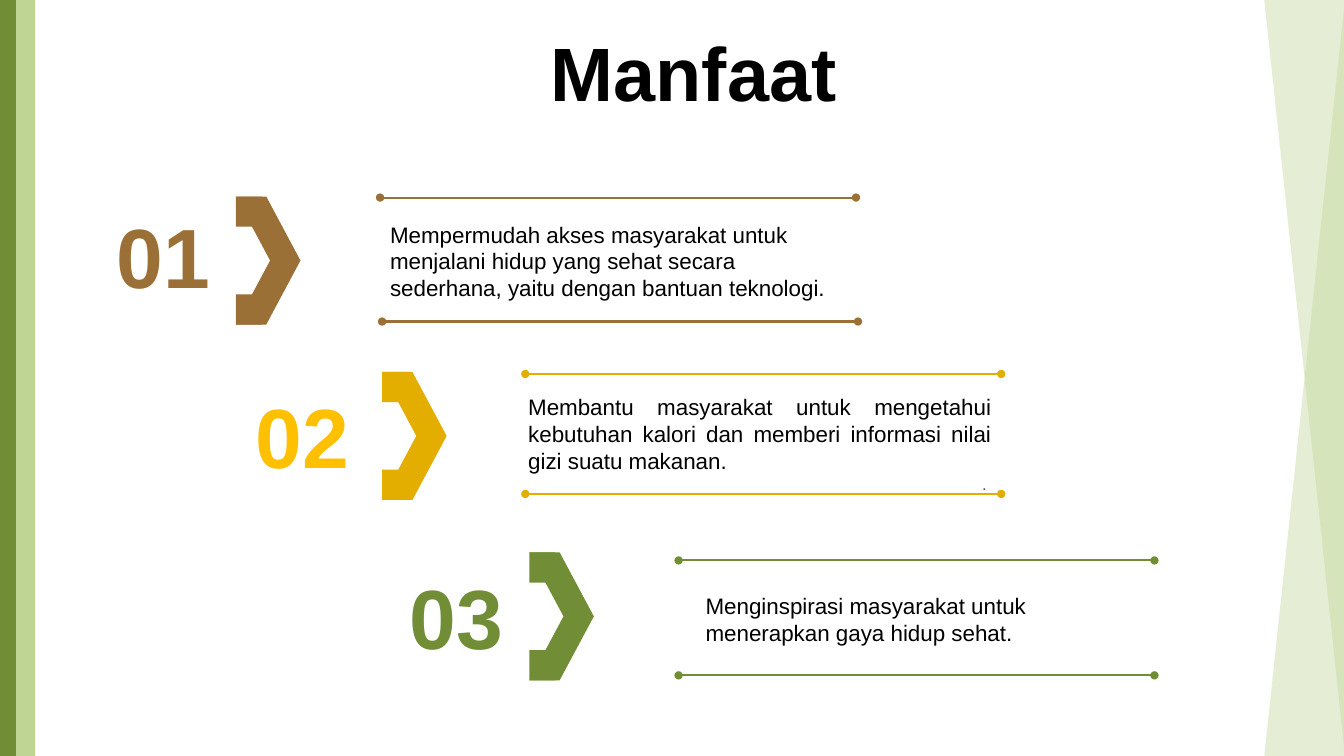
from pptx import Presentation
from pptx.dml.color import RGBColor
from pptx.enum.shapes import MSO_CONNECTOR, MSO_SHAPE
from pptx.enum.text import MSO_ANCHOR, PP_ALIGN
from pptx.oxml.ns import qn
from pptx.util import Inches, Pt
from lxml.etree import SubElement

HUES = {"brown": "9A7037", "gold": "E3AE00", "amber": "FFC000",
        "green": "718E37", "pale": "BFD594", "black": "000000", "gray": "595959"}
TITLE = ("Manfaat", 54, "black", True, PP_ALIGN.CENTER)
ITEMS = [
    {"num": "01", "hue": "brown", "ink": "brown", "arrow": (2.34, 1.95),
     "label": (1.05, 1.98), "box": (3.77, 2.14, 4.72, 0.91),
     "rules": [(3.77, 1.96), (3.79, 3.19)], "width": 1.5,
     "text": [("Mempermudah akses masyarakat untuk menjalani hidup yang sehat secara "
               "sederhana, yaitu dengan bantuan teknologi.", 16, "black", False, PP_ALIGN.LEFT)]},
    {"num": "02", "hue": "gold", "ink": "amber", "arrow": (3.79, 3.69),
     "label": (2.43, 3.77), "box": (5.14, 3.85, 4.79, 1.11),
     "rules": [(5.21, 3.71), (5.21, 4.9)], "width": 1,
     "text": [("Membantu masyarakat untuk mengetahui kebutuhan kalori dan memberi "
               "informasi nilai gizi suatu makanan.", 16, "black", False, PP_ALIGN.JUSTIFY),
              (". ", 12, "gray", False, PP_ALIGN.RIGHT)]},
    {"num": "03", "hue": "green", "ink": "green", "arrow": (5.25, 5.48),
     "label": (3.96, 5.56), "box": (6.9, 5.83, 4.56, 0.64),
     "rules": [(6.73, 5.56), (6.73, 6.7)], "width": 1.5,
     "text": [("Menginspirasi masyarakat untuk menerapkan gaya hidup sehat.",
               16, "black", False, PP_ALIGN.LEFT)]},
]
RULE = 4.72
TALL, TAB = 1.27, 0.3


def color(hue):
    return RGBColor.from_string(HUES[hue])


def style(obj, vals):
    for key, val in vals.items():
        setattr(obj, key, val)


def shape(slide, kind, box, hue):
    form = slide.shapes.add_shape(kind, *map(Inches, box))
    form.shadow.inherit = False
    form.fill.solid()
    form.fill.fore_color.rgb = color(hue)
    form.line.fill.background()
    return form


def corner(slide, flips):
    form = shape(slide, MSO_SHAPE.RIGHT_TRIANGLE, (12.54, 0, 0.8, 7.5), "pale")
    for flip in flips:
        form._element.spPr.xfrm.set(flip, "1")
    tint = form._element.spPr.find(qn("a:solidFill"))[0]
    SubElement(tint, qn("a:alpha")).set("val", "40000")


def write(slide, box, paras, anchor=MSO_ANCHOR.TOP):
    frame = slide.shapes.add_textbox(*map(Inches, box)).text_frame
    style(frame, {"word_wrap": True, "vertical_anchor": anchor})
    for i, (text, size, hue, bold, align) in enumerate(paras):
        para = frame.add_paragraph() if i else frame.paragraphs[0]
        para.alignment = align
        run = para.add_run()
        run.text = text
        style(run.font, {"name": "Arial", "size": Pt(size), "bold": bold})
        run.font.color.rgb = color(hue)
    return frame


def rule(slide, left, top, hue, width):
    line = slide.shapes.add_connector(
        MSO_CONNECTOR.STRAIGHT, *map(Inches, (left, top, left + RULE, top)))
    line.line.color.rgb = color(hue)
    line.line.width = Pt(width)
    props = line._element.spPr
    for end in ("a:headEnd", "a:tailEnd"):
        SubElement(props.find(qn("a:ln")), qn(end)).set("type", "oval")
    SubElement(props, qn("a:effectLst"))


def arrow(slide, left, top, hue):
    form = shape(slide, MSO_SHAPE.CHEVRON, (left, top, 0.64, TALL), hue)
    form.adjustments[0] = 0.53
    for y in (top, top + TALL - TAB):
        shape(slide, MSO_SHAPE.RECTANGLE, (left, y, 0.26, TAB), hue)


def main():
    deck = Presentation()
    style(deck, {"slide_width": Inches(13.33), "slide_height": Inches(7.5)})
    slide = deck.slides.add_slide(deck.slide_layouts[6])
    corner(slide, ("flipH", "flipV"))
    for left, hue in ((0, "green"), (0.16, "pale")):
        shape(slide, MSO_SHAPE.RECTANGLE, (left, 0, 0.19, 7.5), hue)
    corner(slide, ("flipH",))
    head = write(slide, (0.75, 0.37, 12.26, 0.79), [TITLE], MSO_ANCHOR.MIDDLE)
    style(head.paragraphs[0], {"line_spacing": 0.9, "space_before": Pt(10)})
    for item in ITEMS:
        arrow(slide, *item["arrow"], item["hue"])
        write(slide, (*item["label"], 1.14, 1.11),
              [(item["num"], 60, item["ink"], True, PP_ALIGN.CENTER)])
        write(slide, item["box"], item["text"])
        for left, top in item["rules"]:
            rule(slide, left, top, item["hue"], item["width"])
    deck.save("out.pptx")


if __name__ == "__main__":
    main()
